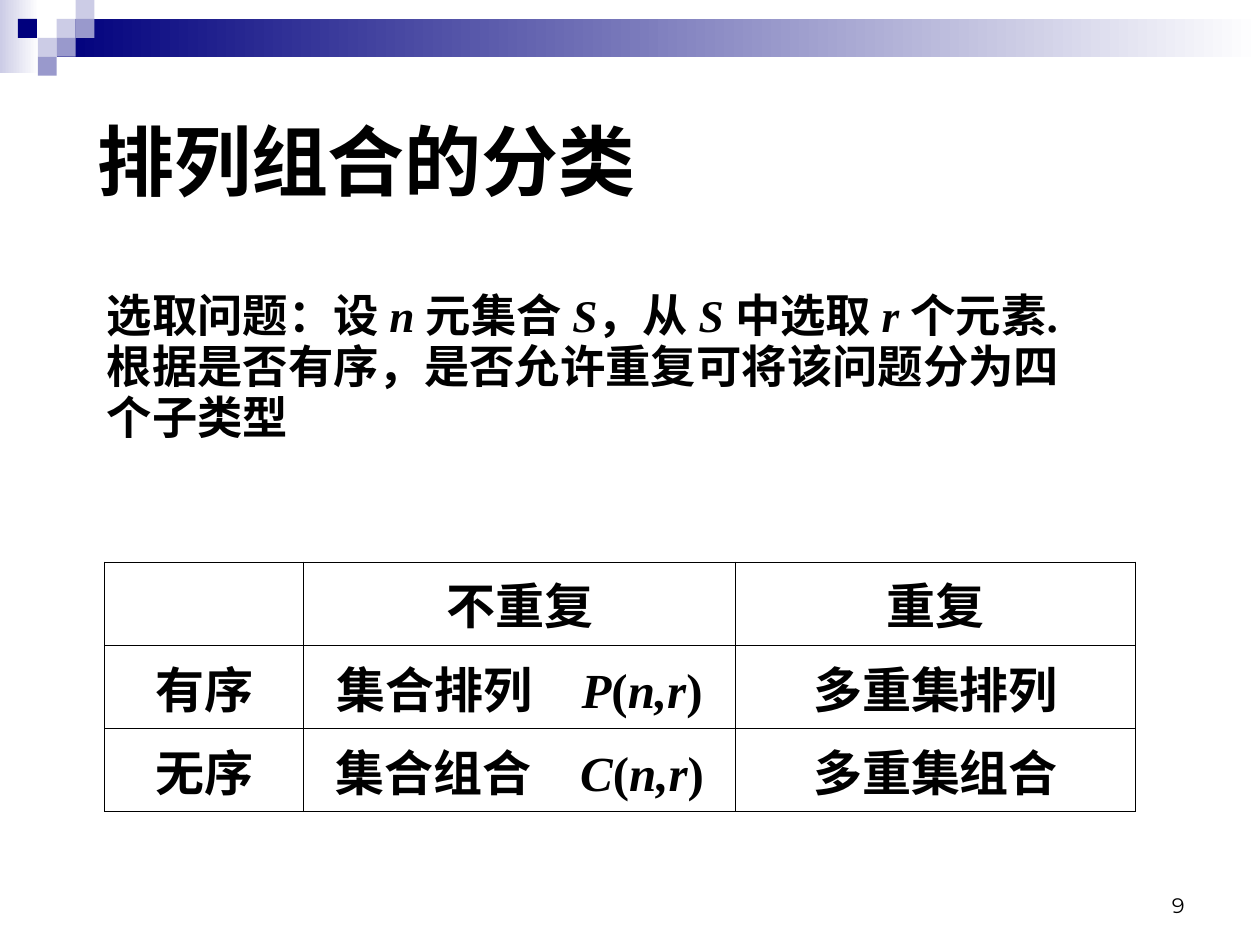
from dataclasses import dataclass

from pptx import Presentation
from pptx.dml.color import RGBColor
from pptx.enum.shapes import MSO_SHAPE
from pptx.enum.text import MSO_ANCHOR, PP_ALIGN
from pptx.oxml import parse_xml
from pptx.oxml.ns import nsdecls
from pptx.util import Inches, Pt


@dataclass(frozen=True)
class Theme:
    navy: str = "00007D"
    mid: str = "9999CC"
    pale: str = "CCCCE6"
    white: str = "FFFFFF"
    ink: str = "000000"
    title_font: str = "Arial"
    body_font: str = "Times New Roman"
    number_font: str = "Montserrat"
    title_size: float = 44
    body_size: float = 25.9
    table_size: float = 28
    number_size: float = 12
    border: float = 0.45


T = Theme()
HANGING = Inches(0.38)

# Each run is (text, italic).
BODY = [
    [("选取问题：设 ", False), ("n ", True), ("元集合 ", False), ("S", True),
     ("，从 ", False), ("S ", True), ("中选取 ", False), ("r ", True), ("个元素.", False)],
    [("根据是否有序，是否允许重复可将该问题分为四", False)],
    [("个子类型", False)],
]


def formula(label, symbol):
    return [(label + "　", False), (symbol, True), ("(", False), ("n,r", True), (")", False)]


ROWS = [
    [[], [("不重复", False)], [("重复", False)]],
    [[("有序", False)], formula("集合排列", "P"), [("多重集排列", False)]],
    [[("无序", False)], formula("集合组合", "C"), [("多重集组合", False)]],
]


def box(*lengths):
    return [Inches(v) for v in lengths]


def style(p, font, size, bold=False, align=PP_ALIGN.LEFT):
    p.alignment = align
    p.font.name, p.font.size, p.font.bold = font, Pt(size), bold
    p.font.color.rgb = RGBColor.from_string(T.ink)


def write_runs(p, runs):
    for text, italic in runs:
        r = p.add_run()
        r.text, r.font.italic = text, italic
    pPr = p._p.get_or_add_pPr()
    pPr.set("marL", str(HANGING))
    pPr.set("indent", str(-HANGING))


def add_rect(group, at, color, fade=False):
    """Borderless rectangle, fading to white on the right if asked."""
    sp = group.shapes.add_shape(MSO_SHAPE.RECTANGLE, *box(*at))
    sp.shadow.inherit = False
    sp.line.fill.background()
    if fade:
        sp.fill.gradient()
        sp.fill.gradient_angle = 0
        for stop, c, pos in zip(sp.fill.gradient_stops, (color, T.white), (0, 1)):
            stop.color.rgb, stop.position = RGBColor.from_string(c), pos
    else:
        sp.fill.solid()
        sp.fill.fore_color.rgb = RGBColor.from_string(color)


def add_banner(s, width, unit):
    """Gradient bar with a checker of unit squares at its left end."""
    group = s.shapes.add_group_shape()
    add_rect(group, (0, 0, 0.31, 0.58), T.pale, fade=True)
    add_rect(group, (3 * unit, unit, width - 3 * unit, 2 * unit), T.navy, fade=True)
    squares = [(3, 1, T.pale), (4, 0, T.pale), (4, 1, T.mid), (2, 2, T.pale),
               (0.95, 1, T.navy), (3, 2, T.mid), (2, 3, T.mid)]
    for col, row, color in squares:
        add_rect(group, (col * unit, row * unit, unit, unit), color)


def add_title(s, at, text):
    sp = s.shapes.title
    sp.left, sp.top, sp.width, sp.height = box(*at)
    tf = sp.text_frame
    tf.text = text
    tf.vertical_anchor = MSO_ANCHOR.MIDDLE
    style(tf.paragraphs[0], T.title_font, T.title_size, bold=True)


def add_body(s, at, paragraphs):
    tf = s.shapes.add_textbox(*box(*at)).text_frame
    tf.word_wrap = True
    tf.margin_top = 0
    for i, runs in enumerate(paragraphs):
        p = tf.add_paragraph() if i else tf.paragraphs[0]
        style(p, T.body_font, T.body_size, bold=True)
        p.line_spacing, p.space_before = 0.9, Pt(1)
        write_runs(p, runs)


def add_borders(cell):
    tcPr = cell._tc.get_or_add_tcPr()
    for side in "LRTB":
        tcPr.append(parse_xml(
            f'<a:ln{side} {nsdecls("a")} w="{Pt(T.border)}"><a:solidFill>'
            f'<a:srgbClr val="{T.ink}"/></a:solidFill></a:ln{side}>'))


def add_grid(s, at, col_widths, rows):
    table = s.shapes.add_table(len(rows), len(col_widths), *box(*at)).table
    table.first_row = table.horz_banding = False
    for column, width in zip(table.columns, col_widths):
        column.width = Inches(width)
    for i, row in enumerate(rows):
        for j, runs in enumerate(row):
            cell = table.cell(i, j)
            add_borders(cell)
            cell.fill.background()
            p = cell.text_frame.paragraphs[0]
            style(p, T.body_font, T.table_size, bold=True, align=PP_ALIGN.CENTER)
            write_runs(p, runs)


def add_page_number(s, at, number):
    tf = s.shapes.add_textbox(*box(*at)).text_frame
    tf.word_wrap = True
    tf.vertical_anchor = MSO_ANCHOR.BOTTOM
    tf.text = str(number)
    style(tf.paragraphs[0], T.number_font, T.number_size, align=PP_ALIGN.RIGHT)


def main():
    prs = Presentation()
    prs.slide_width, prs.slide_height = box(10, 7.5)
    s = prs.slides.add_slide(prs.slide_layouts[5])
    add_banner(s, 10, 0.15)
    add_page_number(s, (7.17, 6.83, 2.33, 0.5), 9)
    add_title(s, (0.67, 0.52, 9, 1.5), "排列组合的分类")
    add_body(s, (0.75, 2.33, 8.82, 1.81), BODY)
    add_grid(s, (0.83, 4.46, 8.18, 1.98), (1.58, 3.43, 3.17), ROWS)
    prs.save("out.pptx")


if __name__ == "__main__":
    main()
